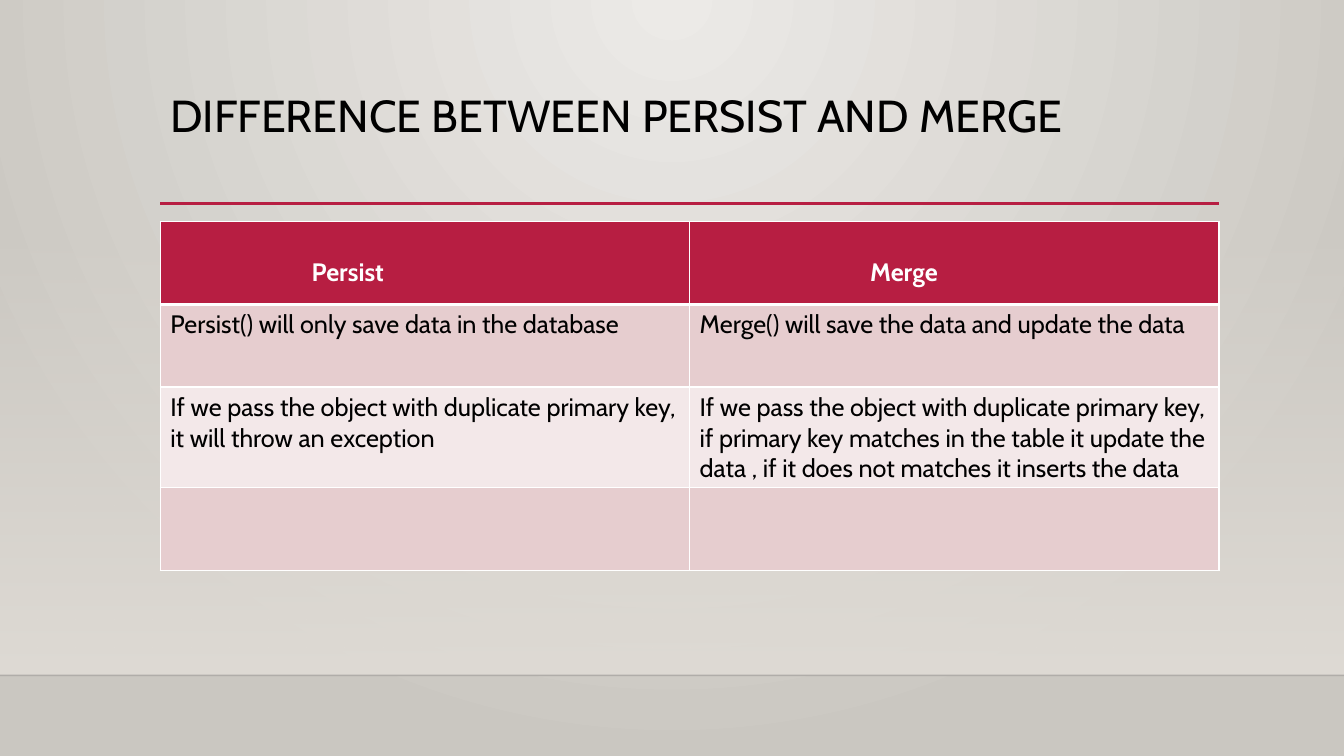
from pptx import Presentation
from pptx.dml.color import RGBColor
from pptx.enum.shapes import MSO_CONNECTOR, MSO_SHAPE
from pptx.oxml import parse_xml
from pptx.oxml.ns import nsdecls
from pptx.oxml.xmlchemy import OxmlElement
from pptx.util import Inches, Pt

FONT = "Cabin"
RED = RGBColor(0xB7, 0x1E, 0x42)
ROSE = RGBColor(0xE6, 0xCD, 0xCF)
PALE = RGBColor(0xF3, 0xE8, 0xE9)
WHITE = RGBColor(0xFF, 0xFF, 0xFF)
BLACK = RGBColor(0x00, 0x00, 0x00)
INK = RGBColor(0x00, 0x00, 0x01)
LIGHT = RGBColor(0xEC, 0xEA, 0xE7)
GREY = RGBColor(0xCA, 0xC7, 0xC1)
SAND = RGBColor(0xDF, 0xDB, 0xD5)

HEADS = [("Persist", 1.5), ("Merge", 1.79)]
ROWS = [
    ("Persist() will only save data in the database",
     "Merge() will save the data and update the data"),
    ("If we pass the object with duplicate primary key, it will throw an exception",
     "If we pass the object with duplicate primary key, if primary key matches in "
     "the table it update the data , if it does not matches it inserts the data"),
    ("", ""),
]


def style(para, size, color, bold=False):
    """Format every run of a paragraph."""
    for run in para.runs:
        run.font.name = FONT
        run.font.size = Pt(size)
        run.font.bold = bold
        run.font.color.rgb = color


def blend(fill, first, last):
    """Give a fill a two-stop gradient."""
    fill.gradient()
    for stop, color, place in zip(fill.gradient_stops, (first, last), (0, 1)):
        stop.color.rgb = color
        stop.position = place


def fade(item, share):
    """Set the opacity, in percent, of the first colour in an element."""
    alpha = OxmlElement("a:alpha")
    alpha.set("val", str(share * 1000))
    item.xpath(".//a:srgbClr")[0].append(alpha)


def rule(slide, left, top, width, color, weight):
    """Draw a level line and return it."""
    line = slide.shapes.add_connector(
        MSO_CONNECTOR.STRAIGHT, Inches(left), Inches(top),
        Inches(left + width), Inches(top))
    line.line.color.rgb = color
    line.line.width = Pt(weight)
    line._element.spPr.append(OxmlElement("a:effectLst"))
    return line


def backdrop(slide, width, height):
    """Paint the round glow, the lower haze and the floor line."""
    blend(slide.background.fill, LIGHT, GREY)
    lin = slide._element.xpath(".//p:bgPr//a:lin")[0]
    glow = parse_xml(
        f'<a:path {nsdecls("a")} path="circle">'
        '<a:fillToRect l="43000" t="0" r="43000" b="100000"/></a:path>')
    lin.getparent().replace(lin, glow)
    floor, depth = height - 0.8, 4.49
    haze = slide.shapes.add_shape(
        MSO_SHAPE.RECTANGLE, 0, Inches(floor - depth), Inches(width), Inches(depth))
    haze.shadow.inherit = False
    haze.line.fill.background()
    blend(haze.fill, SAND, SAND)
    haze.fill.gradient_angle = 270
    fade(haze._element, 0)
    fade(rule(slide, 0, floor, width, INK, 1)._element, 20)


def heading(slide, left, top, width, height):
    """Place the title and the red rule at its foot."""
    box = slide.shapes.add_textbox(
        Inches(left), Inches(top), Inches(width), Inches(height))
    frame = box.text_frame
    frame.word_wrap = True
    frame.text = "DIFFERENCE BETWEEN PERSIST AND MERGE"
    para = frame.paragraphs[0]
    para.line_spacing = 0.9
    style(para, 32, BLACK)
    rule(slide, left, top + height, width, RED, 2.5)


def border(cell, foot):
    """Edge a cell in white, with its own weight at the foot."""
    props = cell._tc.get_or_add_tcPr()
    for spot, (side, weight) in enumerate(zip("LRTB", (1, 1, 1, foot))):
        props.insert(spot, parse_xml(
            f'<a:ln{side} {nsdecls("a")} w="{Pt(weight)}"><a:solidFill>'
            f'<a:srgbClr val="{WHITE}"/></a:solidFill></a:ln{side}>'))


def entry(cell, text, back, color, bold=False, foot=1):
    """Fill one table cell with text, ground and edges."""
    cell.text = text
    style(cell.text_frame.paragraphs[0], 18, color, bold)
    cell.fill.solid()
    cell.fill.fore_color.rgb = back
    border(cell, foot)


def compare(slide, left, top, width, height):
    """Build the table that sets the two methods side by side."""
    count = len(ROWS) + 1
    table = slide.shapes.add_table(
        count, len(HEADS), Inches(left), Inches(top),
        Inches(width), Inches(height)).table
    for row in table.rows:
        row.height = Inches(height / count)
    for col, (text, indent) in enumerate(HEADS):
        cell = table.cell(0, col)
        entry(cell, text, RED, WHITE, True, 3)
        cell.margin_left = Inches(indent)
        cell.margin_top = Inches(0.35)
    for row, texts in enumerate(ROWS, 1):
        for col, text in enumerate(texts):
            entry(table.cell(row, col), text, ROSE if row % 2 else PALE, BLACK)


def main():
    """Build and save the slide."""
    deck = Presentation()
    deck.slide_width = Inches(13.33)
    deck.slide_height = Inches(7.5)
    slide = deck.slides.add_slide(deck.slide_layouts[6])
    backdrop(slide, 13.33, 7.5)
    heading(slide, 1.59, 0.88, 10.5, 1.14)
    compare(slide, 1.59, 2.2, 10.5, 3.28)
    deck.save("out.pptx")


if __name__ == "__main__":
    main()
